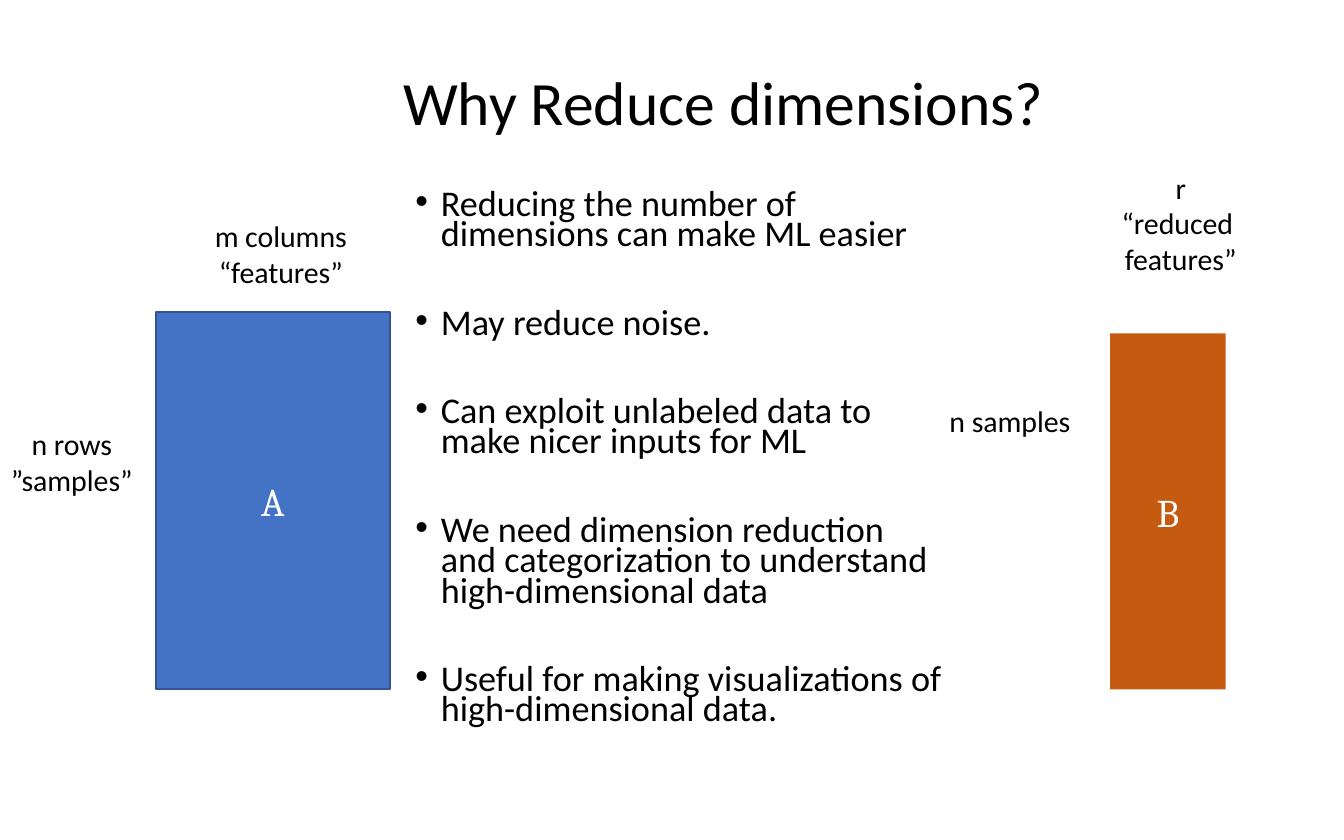
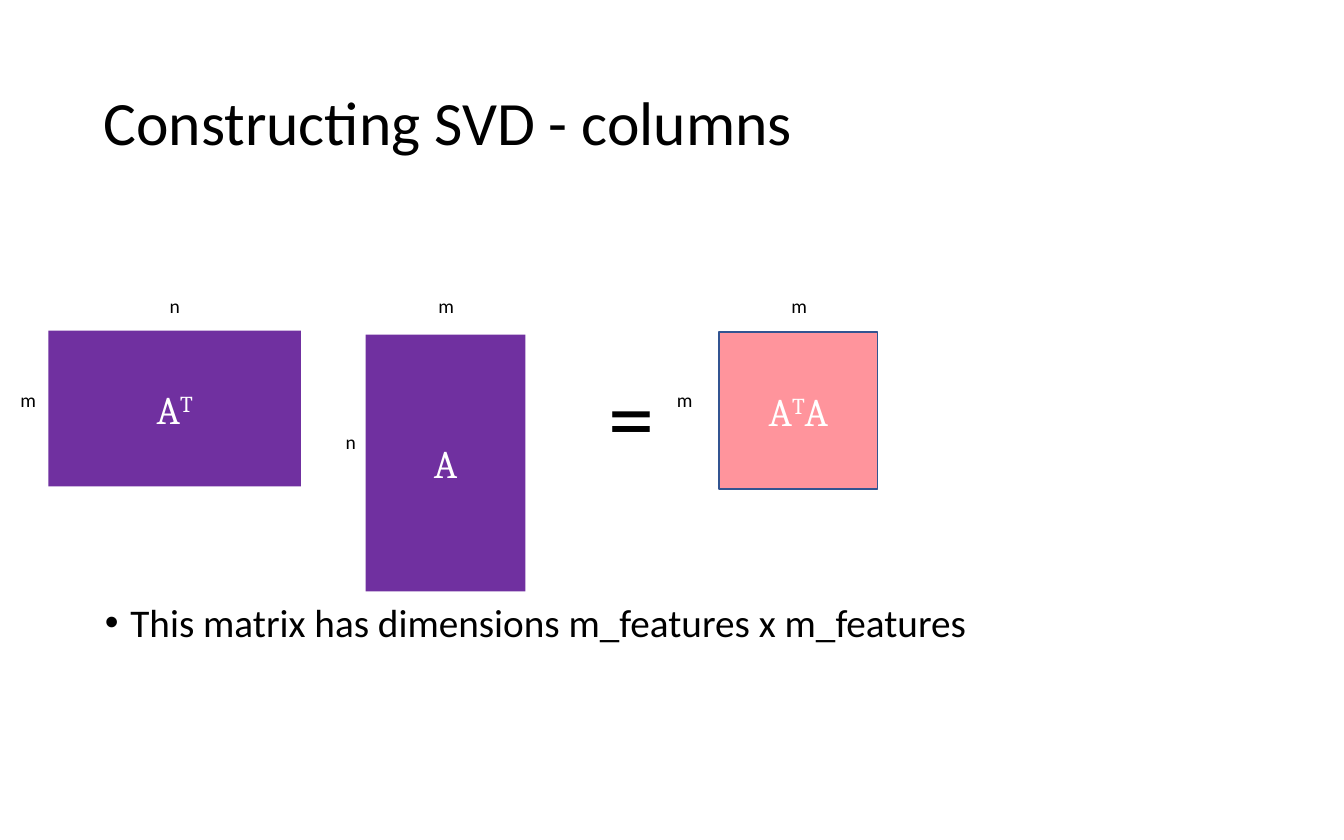
import lxml.etree
import pptx
import pptx.dml.color
import pptx.enum.shapes
import pptx.enum.text
import pptx.oxml.ns
import pptx.util

Inches = pptx.util.Inches
Pt = pptx.util.Pt
ALIGN = pptx.enum.text.PP_ALIGN
ANCHOR = pptx.enum.text.MSO_ANCHOR


def color(value):
    return pptx.dml.color.RGBColor.from_string(value)


class Deck:
    """Holds the shared style and the slide being built."""

    text_font, matrix_font = "Calibri", "Cambria"
    ink, paper, outline = "000000", "FFFFFF", "325491"
    title_size, matrix_size = 33, 21

    def __init__(self):
        self.presentation = pptx.Presentation()
        self.presentation.slide_width = Inches(10)
        self.presentation.slide_height = Inches(6.25)
        self.slide = None

    def new_slide(self):
        self.slide = self.presentation.slides.add_slide(self.presentation.slide_layouts[6])

    def run(self, paragraph, text, size, font, ink, raised=False):
        run = paragraph.add_run()
        run.text = text
        run.font.size = Pt(size)
        run.font.name = font
        run.font.color.rgb = color(ink)
        if raised:
            run._r.get_or_add_rPr().set("baseline", "30000")

    def frame(self, box, wrap=True, side=0.1, edge=0.05):
        frame = self.slide.shapes.add_textbox(*map(Inches, box)).text_frame
        frame.word_wrap = wrap
        frame.margin_left = frame.margin_right = Inches(side)
        frame.margin_top = frame.margin_bottom = Inches(edge)
        return frame

    def title(self, text, box):
        frame = self.frame(box, side=0.08, edge=0.04)
        frame.vertical_anchor = ANCHOR.MIDDLE
        paragraph = frame.paragraphs[0]
        paragraph.line_spacing = 0.9
        self.run(paragraph, text, self.title_size, self.text_font, self.ink)

    def bullets(self, points, box, size, spacing, gap=0):
        frame = self.frame(box, side=0.08, edge=0.04)
        for index, point in enumerate(points):
            paragraph = frame.add_paragraph() if index else frame.paragraphs[0]
            properties = paragraph._p.get_or_add_pPr()
            properties.set("marL", str(Inches(0.19)))
            properties.set("indent", str(-Inches(0.19)))
            for tag, key, value in (("a:buFont", "typeface", "Arial"), ("a:buChar", "char", "•")):
                lxml.etree.SubElement(properties, pptx.oxml.ns.qn(tag)).set(key, value)
            paragraph.line_spacing = spacing
            paragraph.space_before = Pt(gap if index else 0)
            self.run(paragraph, point, size, self.text_font, self.ink)

    def label(self, lines, box, size, wrap=False, align=ALIGN.CENTER):
        frame = self.frame(box, wrap)
        frame.auto_size = pptx.enum.text.MSO_AUTO_SIZE.SHAPE_TO_FIT_TEXT
        for index, line in enumerate(lines):
            paragraph = frame.add_paragraph() if index else frame.paragraphs[0]
            paragraph.alignment = align
            self.run(paragraph, line, size, self.text_font, self.ink)

    def matrix(self, factors, box, fill, outlined=False):
        shape = self.slide.shapes.add_shape(
            pptx.enum.shapes.MSO_SHAPE.RECTANGLE, *map(Inches, box))
        shape.shadow.inherit = False
        shape.fill.solid()
        shape.fill.fore_color.rgb = color(fill)
        if outlined:
            shape.line.color.rgb = color(self.outline)
            shape.line.width = Pt(1)
        else:
            shape.line.fill.background()
        shape.text_frame.vertical_anchor = ANCHOR.MIDDLE
        paragraph = shape.text_frame.paragraphs[0]
        paragraph.alignment = ALIGN.CENTER
        for factor in factors:
            self.run(paragraph, factor, self.matrix_size, self.matrix_font,
                     self.paper, raised=factor == "T")


def why_reduce(deck):
    deck.new_slide()
    reasons = [
        "Reducing the number of dimensions can make ML easier",
        "May reduce noise.",
        "Can exploit unlabeled data to make nicer inputs for ML",
        "We need dimension reduction and categorization to understand high-dimensional data",
        "Useful for making visualizations of high-dimensional data.",
    ]
    deck.bullets(reasons, (3.01, 1.39, 4.12, 4.13), 19.4, 0.7, gap=31)
    deck.title("Why Reduce dimensions?", (2.92, 0.24, 5.52, 1.09))
    deck.matrix("A", (1.16, 2.32, 1.74, 2.81), "4472C4", outlined=True)
    deck.label(["m columns", "“features”"], (1.49, 1.57, 1.2, 0.64), 16)
    deck.label(["n rows", "”samples”"], (-0.03, 3.12, 1.13, 0.64), 16)
    deck.matrix("B", (8.26, 2.48, 0.86, 2.65), "C55A11")
    deck.label(["n samples"], (6.78, 2.95, 1.47, 0.37), 16, wrap=True)
    deck.label(["r", "“reduced ", "features”"], (8.24, 1.21, 1.09, 0.91), 16)


def svd_columns(deck):
    deck.new_slide()
    deck.title("Constructing SVD - columns", (0.69, 0.33, 8.62, 1.21))
    deck.bullets(["This matrix has dimensions m_features x m_features"],
                 (0.7, 4.45, 7.61, 1.35), 21, 0.9)
    deck.matrix("A", (2.72, 2.49, 1.19, 1.91), "7030A0")
    deck.matrix("AT", (0.36, 2.46, 1.88, 1.16), "7030A0")
    deck.matrix("ATA", (5.35, 2.47, 1.18, 1.17), "FF949C", outlined=True)
    dimensions = [
        ("n", 1.16, 2.14, 0.28), ("m", 0.05, 2.84, 0.32),
        ("n", 2.47, 3.15, 0.28), ("m", 3.16, 2.14, 0.32),
        ("m", 5.79, 2.14, 0.3), ("m", 4.91, 2.84, 0.37),
    ]
    for dimension, left, top, width in dimensions:
        deck.label([dimension], (left, top, width, 0.28), 10.5)
    deck.label(["="], (4.43, 2.62, 0.55, 0.93), 49.5, align=ALIGN.LEFT)


def main():
    deck = Deck()
    why_reduce(deck)
    svd_columns(deck)
    deck.presentation.save("out.pptx")


if __name__ == "__main__":
    main()
